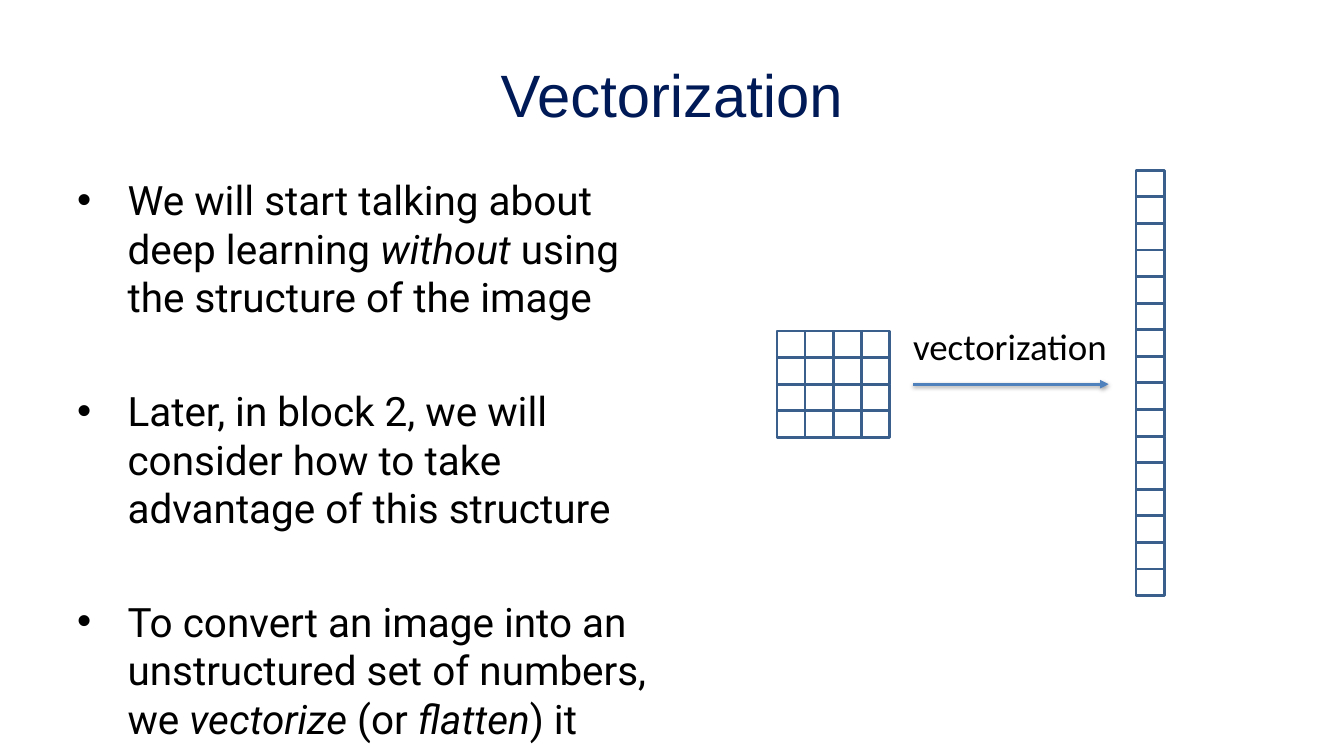
"""Build a slide on turning an image grid into a vector."""
import pptx
import pptx.util
import pptx.dml.color
import pptx.enum.shapes
import pptx.enum.text
import pptx.oxml
import pptx.oxml.ns
from pptx.util import Cm, Pt


def colour(code):
    return pptx.dml.color.RGBColor.from_string(code)


def apply_format(target, values):
    for key, value in values.items():
        setattr(target, key, value)


presentation = pptx.Presentation()
presentation.slide_width = Cm(33.87)
presentation.slide_height = Cm(19.05)
slide = presentation.slides.add_slide(presentation.slide_layouts[1])

heading = slide.shapes.title
apply_format(heading, {"left": Cm(1.69), "top": Cm(0.76), "width": Cm(30.48), "height": Cm(3.18)})
heading.text_frame.text = "Vectorization"
heading.text_frame.vertical_anchor = pptx.enum.text.MSO_ANCHOR.MIDDLE
heading_line = heading.text_frame.paragraphs[0]
heading_line.alignment = pptx.enum.text.PP_ALIGN.CENTER
apply_format(heading_line.runs[0].font, {"name": "Arial", "size": Pt(42.7)})
heading_line.runs[0].font.color.rgb = colour("001A57")

points = [
    [("We will start talking about deep learning ", False), ("without", True),
     (" using the structure of the image", False)],
    [("Later, in block 2, we will consider how to take advantage of this structure", False)],
    [("To convert an image into an unstructured set of numbers, we ", False), ("vectorize ", True),
     ("(or ", False), ("flatten", True), (") it", False)],
]
explanation = slide.placeholders[1]
apply_format(explanation, {"left": Cm(1.69), "top": Cm(4.29), "width": Cm(14.93), "height": Cm(13.23)})
apply_format(explanation.text_frame, {
    "word_wrap": True,
    "auto_size": pptx.enum.text.MSO_AUTO_SIZE.NONE,
    "vertical_anchor": pptx.enum.text.MSO_ANCHOR.TOP,
})
for number, pieces in enumerate(points):
    point = explanation.text_frame.paragraphs[0] if number == 0 else explanation.text_frame.add_paragraph()
    properties = point._p.get_or_add_pPr()
    properties.set("marL", str(Cm(1.27)))
    properties.set("indent", str(-Cm(1.27)))
    point.space_before = Pt(46.4 if number else 0)
    for words, slanted in pieces:
        piece = point.add_run()
        piece.text = words
        apply_format(piece.font, {"name": "Roboto", "size": Pt(28.9), "italic": slanted})
        piece.font.color.rgb = colour("000000")

cell_width, cell_height = Cm(0.71), Cm(0.67)
image_cells = [(Cm(19.58), Cm(8.34), column, row) for row in range(4) for column in range(4)]
vector_cells = [(Cm(28.63), Cm(4.29), 0, row) for row in range(16)]
for left, top, column, row in image_cells + vector_cells:
    cell = slide.shapes.add_shape(
        pptx.enum.shapes.MSO_SHAPE.RECTANGLE,
        left + column * cell_width, top + row * cell_height, cell_width, cell_height)
    cell.shadow.inherit = False
    cell.fill.background()
    cell.line.color.rgb = colour("3A5F8C")
    cell.line.width = Pt(2)

arrow = slide.shapes.add_connector(
    pptx.enum.shapes.MSO_CONNECTOR.STRAIGHT, Cm(23.01), Cm(9.68), Cm(27.94), Cm(9.68))
arrow.line.color.rgb = colour("4F81BD")
arrow.line.width = Pt(2)
namespace = pptx.oxml.ns.nsdecls("a")
arrow.line._get_or_add_ln().append(pptx.oxml.parse_xml(f'<a:tailEnd {namespace} type="triangle"/>'))
arrow._element.spPr.append(pptx.oxml.parse_xml(
    f'<a:effectLst {namespace}><a:outerShdw blurRad="{Pt(3.1)}" dist="{Pt(1.6)}" dir="5400000" '
    'rotWithShape="0"><a:srgbClr val="000000"><a:alpha val="38000"/></a:srgbClr>'
    '</a:outerShdw></a:effectLst>'))

arrow_label = slide.shapes.add_textbox(Cm(22.76), Cm(8.03), Cm(5.46), Cm(1.37))
arrow_label.text_frame.word_wrap = False
arrow_label.text_frame.auto_size = pptx.enum.text.MSO_AUTO_SIZE.SHAPE_TO_FIT_TEXT
arrow_words = arrow_label.text_frame.paragraphs[0].add_run()
arrow_words.text = "vectorization"
apply_format(arrow_words.font, {"name": "Calibri", "size": Pt(26.4)})
arrow_words.font.color.rgb = colour("000000")

presentation.save("out.pptx")
